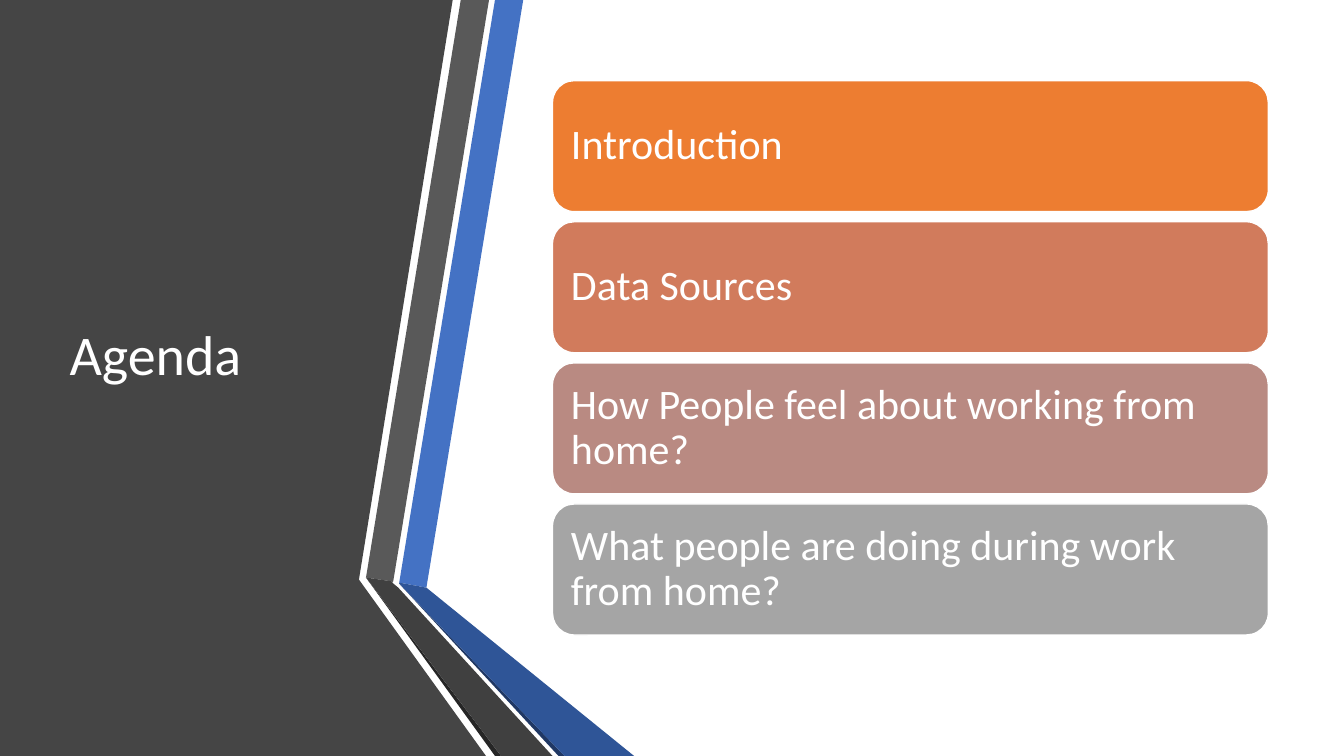
"""Build the agenda slide: an angled dark panel with ribbons and four topic cards."""
from pptx import Presentation
from pptx.dml.color import RGBColor
from pptx.enum import shapes, text
from pptx.util import Inches, Pt


def color(value):
    return RGBColor.from_string(value)


def format_text(frame, content, size):
    frame.text = content
    frame.word_wrap = True
    frame.auto_size = text.MSO_AUTO_SIZE.NONE
    frame.vertical_anchor = text.MSO_ANCHOR.MIDDLE
    para = frame.paragraphs[0]
    para.alignment = text.PP_ALIGN.LEFT
    para.line_spacing = 0.9
    font = para.runs[0].font
    font.name = "Calibri"
    font.size = Pt(size)
    font.color.rgb = color("FFFFFF")


deck = Presentation()
deck.slide_width, deck.slide_height = Inches(13.33), Inches(7.5)
page = deck.slides.add_slide(deck.slide_layouts[5])

dark_panel = [(0, 0), (3.53, 0), (4.49, 0), (3.56, 5.75), (4.82, 7.5), (0, 7.5)]
blue_ribbon = [(3.96, 5.78), (4.23, 5.83), (5.19, 0), (4.91, 0)]
gray_ribbon = [(4.85, 0), (4.57, 0), (3.63, 5.73), (3.9, 5.77)]
gray_edge = [(3.63, 5.73), (4.91, 7.5), (4.97, 7.5)]
blue_edge = [(3.96, 5.79), (5.54, 7.5), (5.6, 7.5)]
blue_fold = [(3.96, 5.78), (3.96, 5.79), (5.6, 7.5), (6.29, 7.5), (4.23, 5.83)]
gray_fold = [(3.63, 5.73), (4.97, 7.5), (5.48, 7.5), (3.95, 5.83), (3.89, 5.78), (3.9, 5.77)]
outlines = [
    (dark_panel, "454545"),
    (blue_ribbon, "4472C4"),
    (gray_ribbon, "595959"),
    (gray_edge, "262626"),
    (blue_edge, "203864"),
    (blue_fold, "2F5597"),
    (gray_fold, "404040"),
]
for corners, fill in outlines:
    points = [(Inches(x), Inches(y)) for x, y in corners]
    builder = page.shapes.build_freeform(*points[0])
    builder.add_line_segments(points[1:], close=True)
    outline = builder.convert_to_shape()
    outline.shadow.inherit = False
    outline.fill.solid()
    outline.fill.fore_color.rgb = color(fill)
    outline.line.fill.background()

title = page.shapes.title
title.element.getparent().append(title.element)
title.left, title.top = Inches(0.59), Inches(0.76)
title.width, title.height = Inches(3.04), Inches(5.58)
format_text(title.text_frame, "Agenda", 40)

topics = [
    ("Introduction", "ED7D31"),
    ("Data Sources", "D17B5C"),
    ("How People feel about working from home?", "B98A82"),
    ("What people are doing during work from home?", "A5A5A5"),
]
for index, (topic, fill) in enumerate(topics):
    card = page.shapes.add_shape(shapes.MSO_SHAPE.ROUNDED_RECTANGLE, Inches(5.48),
                                 Inches(0.8 + 1.4 * index), Inches(7.1), Inches(1.3))
    card.shadow.inherit = False
    card.fill.solid()
    card.fill.fore_color.rgb = color(fill)
    card.line.color.rgb = color("FFFFFF")
    card.line.width = Pt(1)
    frame = card.text_frame
    frame.margin_left = frame.margin_right = Inches(0.12)
    frame.margin_top = frame.margin_bottom = Inches(0.12)
    format_text(frame, topic, 30)

deck.save("out.pptx")
